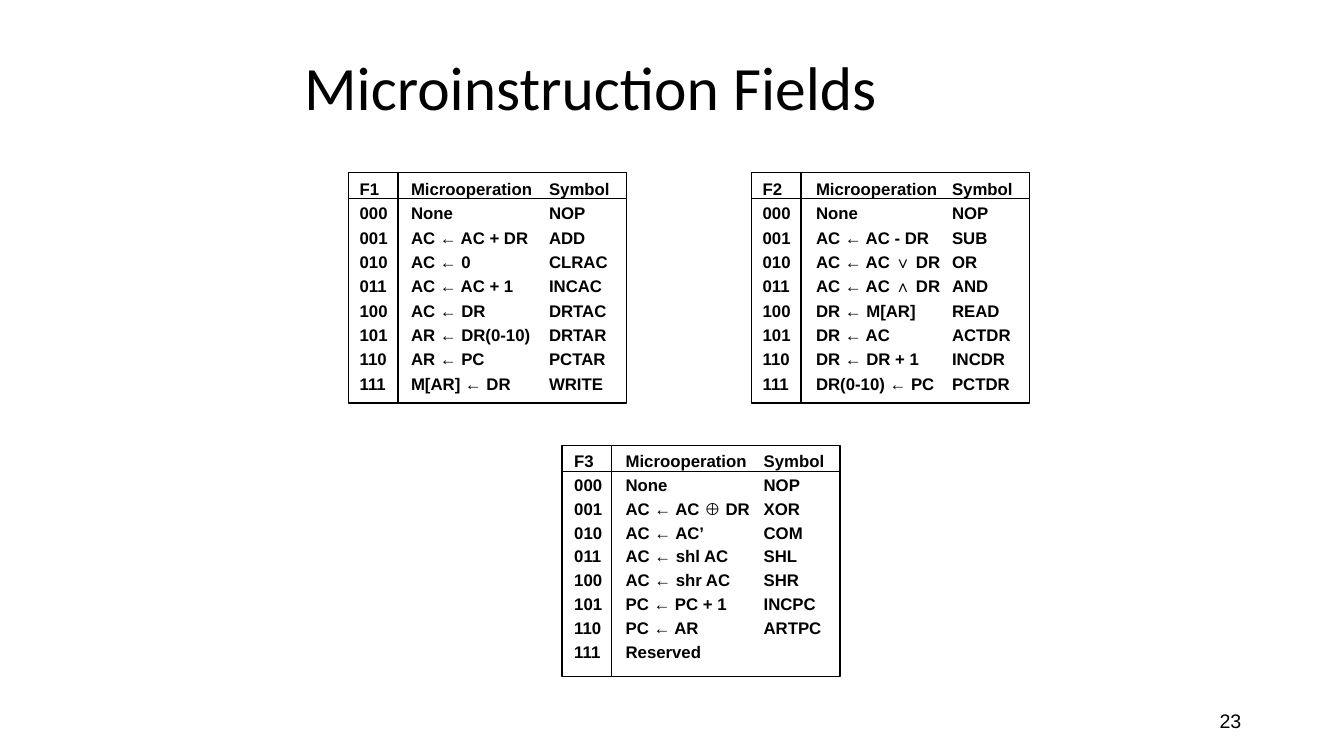
from lxml.etree import SubElement
from pptx import Presentation
from pptx.dml.color import RGBColor
from pptx.enum.shapes import MSO_CONNECTOR as Conn, MSO_SHAPE as Shape
from pptx.enum.text import MSO_ANCHOR as Anchor, PP_ALIGN as Align
from pptx.oxml.ns import qn
from pptx.util import Inches, Pt

# Content
TITLE = "Microinstruction Fields"
NUMBER = "23"
HEADS = ("Microoperation", "Symbol")
FIELDS = {
    "F1": [("None", "NOP"), ("AC ← AC + DR", "ADD"), ("AC ← 0", "CLRAC"),
           ("AC ← AC + 1", "INCAC"), ("AC ← DR", "DRTAC"),
           ("AR ← DR(0-10)", "DRTAR"), ("AR ← PC", "PCTAR"),
           ("M[AR] ← DR", "WRITE")],
    "F2": [("None", "NOP"), ("AC ← AC - DR", "SUB"), ("AC ← AC ∨ DR", "OR"),
           ("AC ← AC ∧ DR", "AND"), ("DR ← M[AR]", "READ"),
           ("DR ← AC", "ACTDR"), ("DR ← DR + 1", "INCDR"),
           ("DR(0-10) ← PC", "PCTDR")],
    "F3": [("None", "NOP"), ("AC ← AC ⊕ DR", "XOR"), ("AC ← AC’", "COM"),
           ("AC ← shl AC", "SHL"), ("AC ← shr AC", "SHR"),
           ("PC ← PC + 1", "INCPC"), ("PC ← AR", "ARTPC"),
           ("Reserved",)],
}

# Format and layout, in inches
COLORS = {"ink": "000000"}
HEADING = {"name": "Calibri", "size": Pt(44)}
FOOTER = {"name": "Arial", "size": Pt(14)}
BODY = {"name": "Arial", "size": Pt(12), "bold": True}
WIDE, HIGH = 13.34, 7.5
FRAME_W, FRAME_H = 2.76, 2.29
HEAD_H, CODE_W = 0.26, 0.49
# left, top, text indent, line spacing, tab stops
PLACES = {
    "F1": (3.46, 1.71, 0.04, 1.21, (0.51, 1.88)),
    "F2": (7.46, 1.71, 0.04, 1.21, (0.53, 1.88)),
    "F3": (5.58, 4.42, 0.05, 1.18, (0.51, 1.88)),
}

deck = Presentation()
deck.slide_width, deck.slide_height = Inches(WIDE), Inches(HIGH)
slide = deck.slides.add_slide(deck.slide_layouts[6])
ink = RGBColor.from_string(COLORS["ink"])


def write(shapes, place, lines, font, pad=(0.1, 0.05), anchor=Anchor.TOP,
          align=Align.LEFT, space=1.0, tabs=()):
    frame = shapes.add_textbox(*map(Inches, place)).text_frame
    look = {"word_wrap": True, "vertical_anchor": anchor,
            "margin_left": Inches(pad[0]), "margin_right": Inches(pad[0]),
            "margin_top": Inches(pad[1]), "margin_bottom": Inches(pad[1])}
    for key, value in look.items():
        setattr(frame, key, value)
    frame.text = "\n".join(lines)
    for para in frame.paragraphs:
        if tabs:
            stops = SubElement(para._p.get_or_add_pPr(), qn("a:tabLst"))
            for stop in tabs:
                SubElement(stops, qn("a:tab"), pos=str(Inches(stop)), algn="l")
        para.alignment, para.line_spacing = align, space
        for run in para.runs:
            for key, value in font.items():
                setattr(run.font, key, value)
            run.font.color.rgb = ink


def rule(shapes, *ends):
    line = shapes.add_connector(Conn.STRAIGHT, *map(Inches, ends))
    line.line.color.rgb, line.line.width = ink, Pt(1)
    SubElement(line._element.spPr, qn("a:effectLst"))


# Title and page number
write(slide.shapes, (2.92, 0.27, 8.5, 1.25), [TITLE], HEADING,
      anchor=Anchor.MIDDLE, space=0.9)
write(slide.shapes, (9.42, 6.95, 3, 0.4), [NUMBER], FOOTER,
      anchor=Anchor.MIDDLE, align=Align.RIGHT)

# One framed group per field
for name, ops in FIELDS.items():
    left, top, indent, space, tabs = PLACES[name]
    parts = slide.shapes.add_group_shape().shapes
    rows = [(name, *HEADS)]
    rows += [(f"{code:03b}", *op) for code, op in enumerate(ops)]
    write(parts, (left + indent, top - 0.01, 3, 2.23),
          ["\t".join(row) for row in rows], BODY, pad=(0.07, 0.03),
          space=space, tabs=tabs)
    box = parts.add_shape(Shape.RECTANGLE,
                          *map(Inches, (left, top, FRAME_W, FRAME_H)))
    box.shadow.inherit = False
    box.fill.background()
    box.line.color.rgb, box.line.width = ink, Pt(1)
    rule(parts, left, top + HEAD_H, left + FRAME_W, top + HEAD_H)
    rule(parts, left + CODE_W, top, left + CODE_W, top + FRAME_H)

deck.save("out.pptx")
